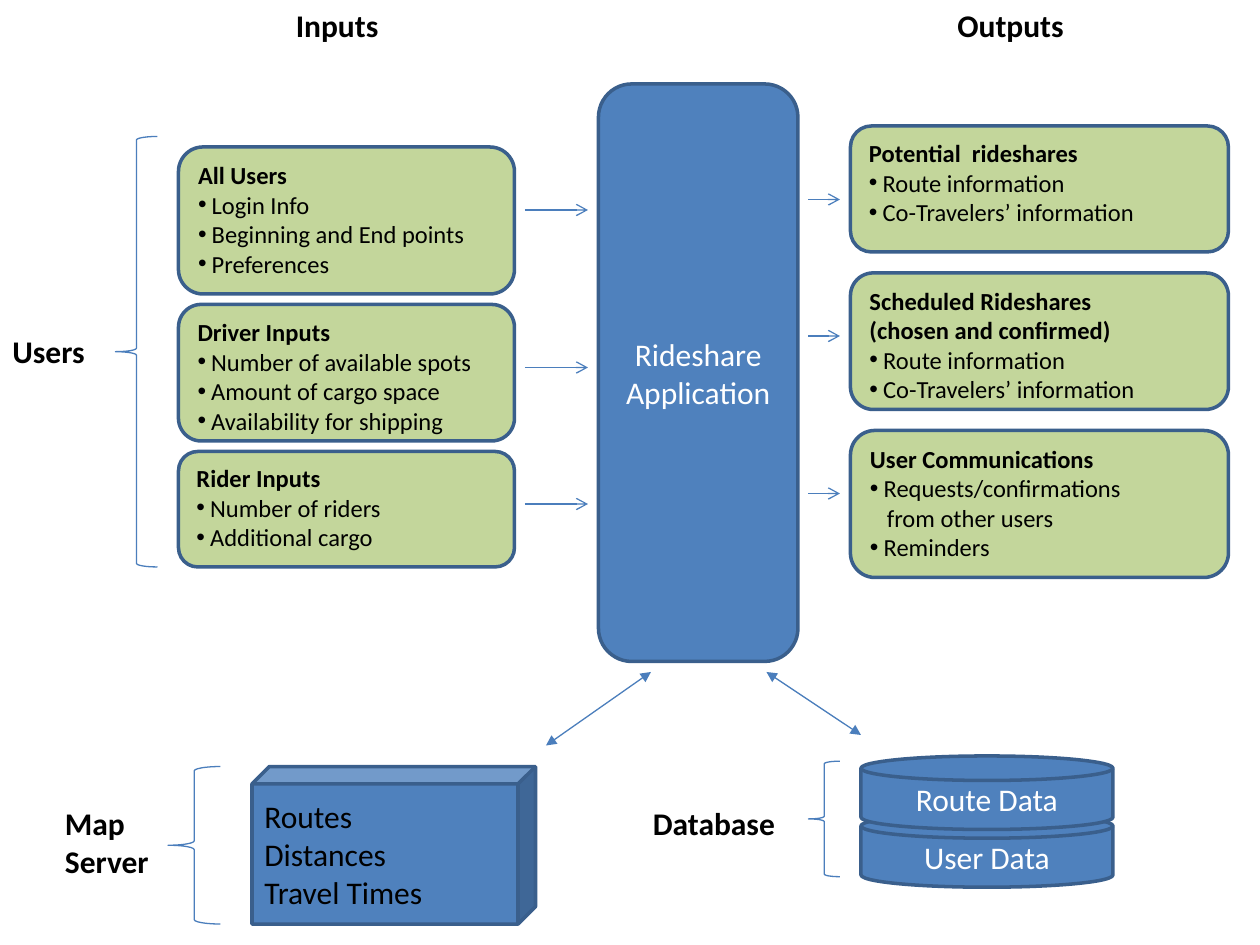
from dataclasses import dataclass

from lxml.etree import SubElement
from pptx import Presentation
from pptx.dml.color import RGBColor
from pptx.enum.shapes import MSO_CONNECTOR, MSO_SHAPE
from pptx.enum.text import MSO_ANCHOR, MSO_AUTO_SIZE, PP_ALIGN
from pptx.oxml.ns import qn
from pptx.util import Emu, Pt

EMU_PER_PX = 7620  # 120 px to the inch
BULLET_INDENT = 13
CONTINUATION_INDENT = 16


@dataclass(frozen=True)
class Theme:
    font: str = "Calibri"
    bullet_font: str = "Arial"
    blue: str = "4F81BD"
    green: str = "C3D69B"
    outline: str = "3A5F8C"
    connector: str = "4B7EBC"
    dark: str = "000000"
    light: str = "FFFFFF"
    large: int = 18
    small: int = 14
    outline_width: float = 2
    connector_width: float = 0.75


THEME = Theme()


def px(value):
    return Emu(value * EMU_PER_PX)


def rgb(value):
    return RGBColor.from_string(value)


def indent(paragraph, left, first_line=0):
    properties = paragraph._p.get_or_add_pPr()
    properties.set("marL", str(px(left)))
    properties.set("indent", str(px(first_line)))
    return properties


def add_bullet(paragraph):
    properties = indent(paragraph, BULLET_INDENT, -BULLET_INDENT)
    SubElement(properties, qn("a:buFont"), typeface=THEME.bullet_font)
    SubElement(properties, qn("a:buChar"), char="•")


def write(frame, lines, size=THEME.large, color=THEME.dark, bold=False,
          align=PP_ALIGN.LEFT, anchor=MSO_ANCHOR.MIDDLE, wrap=True):
    """Write one paragraph per line; a leading • or > marks a bullet or its continuation."""
    frame.word_wrap = wrap
    frame.vertical_anchor = anchor
    for index, line in enumerate(lines):
        paragraph = frame.add_paragraph() if index else frame.paragraphs[0]
        paragraph.alignment = align
        if line[0] == "•":
            add_bullet(paragraph)
        elif line[0] == ">":
            indent(paragraph, CONTINUATION_INDENT)
        run = paragraph.add_run()
        run.text = line.lstrip("•>")
        font = run.font
        font.name, font.size = THEME.font, Pt(size)
        font.bold = bold and line[0] not in "•>"
        font.color.rgb = rgb(color)


def add_label(slide, box, *lines):
    shape = slide.shapes.add_textbox(*map(px, box))
    write(shape.text_frame, lines, bold=True, anchor=MSO_ANCHOR.TOP, wrap=False)
    shape.text_frame.auto_size = MSO_AUTO_SIZE.SHAPE_TO_FIT_TEXT


def add_block(slide, kind, box, lines, fill=THEME.blue, **text_format):
    shape = slide.shapes.add_shape(kind, *map(px, box))
    shape.shadow.inherit = False
    shape.fill.solid()
    shape.fill.fore_color.rgb = rgb(fill)
    shape.line.color.rgb = rgb(THEME.outline)
    shape.line.width = Pt(THEME.outline_width)
    write(shape.text_frame, lines, **text_format)
    return shape


def add_card(slide, box, *lines):
    add_block(slide, MSO_SHAPE.ROUNDED_RECTANGLE, box, lines, fill=THEME.green,
              size=THEME.small, bold=True, anchor=MSO_ANCHOR.TOP)


def style_thin_line(line):
    line.color.rgb = rgb(THEME.connector)
    line.width = Pt(THEME.connector_width)


def add_brace(slide, box):
    shape = slide.shapes.add_shape(MSO_SHAPE.LEFT_BRACE, *map(px, box))
    shape.shadow.inherit = False
    shape.fill.background()
    style_thin_line(shape.line)


def add_arrow(slide, start, end, head=None, tail="arrow"):
    connector = slide.shapes.add_connector(
        MSO_CONNECTOR.STRAIGHT, *map(px, start + end))
    style_thin_line(connector.line)
    line = connector.line._get_or_add_ln()
    if head:
        SubElement(line, qn("a:headEnd"), type=head)
    SubElement(line, qn("a:tailEnd"), type=tail)
    SubElement(connector._element.spPr, qn("a:effectLst"))


def add_inputs(slide):
    add_label(slide, (270, 0, 103, 48), "Inputs")
    add_label(slide, (0, 310, 94, 48), "Users")
    add_brace(slide, (110, 130, 40, 410))
    cards = [
        (140, 140, 200, ("All Users", "•Login Info",
                         "•Beginning and End points", "•Preferences")),
        (290, 130, 350, ("Driver Inputs", "•Number of available spots",
                         "•Amount of cargo space", "•Availability for shipping")),
        (430, 110, 480, ("Rider Inputs", "•Number of riders", "•Additional cargo")),
    ]
    for top, height, arrow_y, lines in cards:
        add_card(slide, (170, top, 320, height), *lines)
        add_arrow(slide, (500, arrow_y), (560, arrow_y))


def add_outputs(slide):
    add_label(slide, (900, 0, 126, 48), "Outputs")
    details = ("•Route information", "•Co-Travelers’ information")
    cards = [
        (120, 120, 190, ("Potential  rideshares", *details)),
        (260, 130, 320, ("Scheduled Rideshares", "(chosen and confirmed)", *details)),
        (410, 140, 470, ("User Communications", "•Requests/confirmations",
                         ">from other users", "•Reminders")),
    ]
    for top, height, arrow_y, lines in cards:
        add_card(slide, (810, top, 360, height), *lines)
        add_arrow(slide, (770, arrow_y), (800, arrow_y))


def add_map_server(slide):
    add_label(slide, (50, 760, 104, 85), "Map", "Server")
    add_brace(slide, (160, 730, 50, 150))
    cube = add_block(slide, MSO_SHAPE.CUBE, (240, 730, 270, 150),
                     ("Routes", "Distances", "Travel Times"))
    cube.adjustments[0] = 0.11
    add_arrow(slide, (620, 640), (520, 710), head="triangle", tail="triangle")


def add_database(slide):
    add_label(slide, (610, 760, 142, 48), "Database")
    add_brace(slide, (770, 725, 30, 110))
    for top, name in ((775, "User Data"), (720, "Route Data")):
        add_block(slide, MSO_SHAPE.FLOWCHART_MAGNETIC_DISK, (820, top, 240, 70),
                  (name,), color=THEME.light, align=PP_ALIGN.CENTER)
    add_arrow(slide, (820, 700), (730, 640), head="triangle", tail="triangle")


def main():
    presentation = Presentation()
    presentation.slide_width, presentation.slide_height = px(1200), px(900)
    slide = presentation.slides.add_slide(presentation.slide_layouts[6])
    add_block(slide, MSO_SHAPE.ROUNDED_RECTANGLE, (570, 80, 190, 550),
              ("Rideshare Application",), color=THEME.light, align=PP_ALIGN.CENTER)
    add_inputs(slide)
    add_outputs(slide)
    add_map_server(slide)
    add_database(slide)
    presentation.save("out.pptx")


if __name__ == "__main__":
    main()
